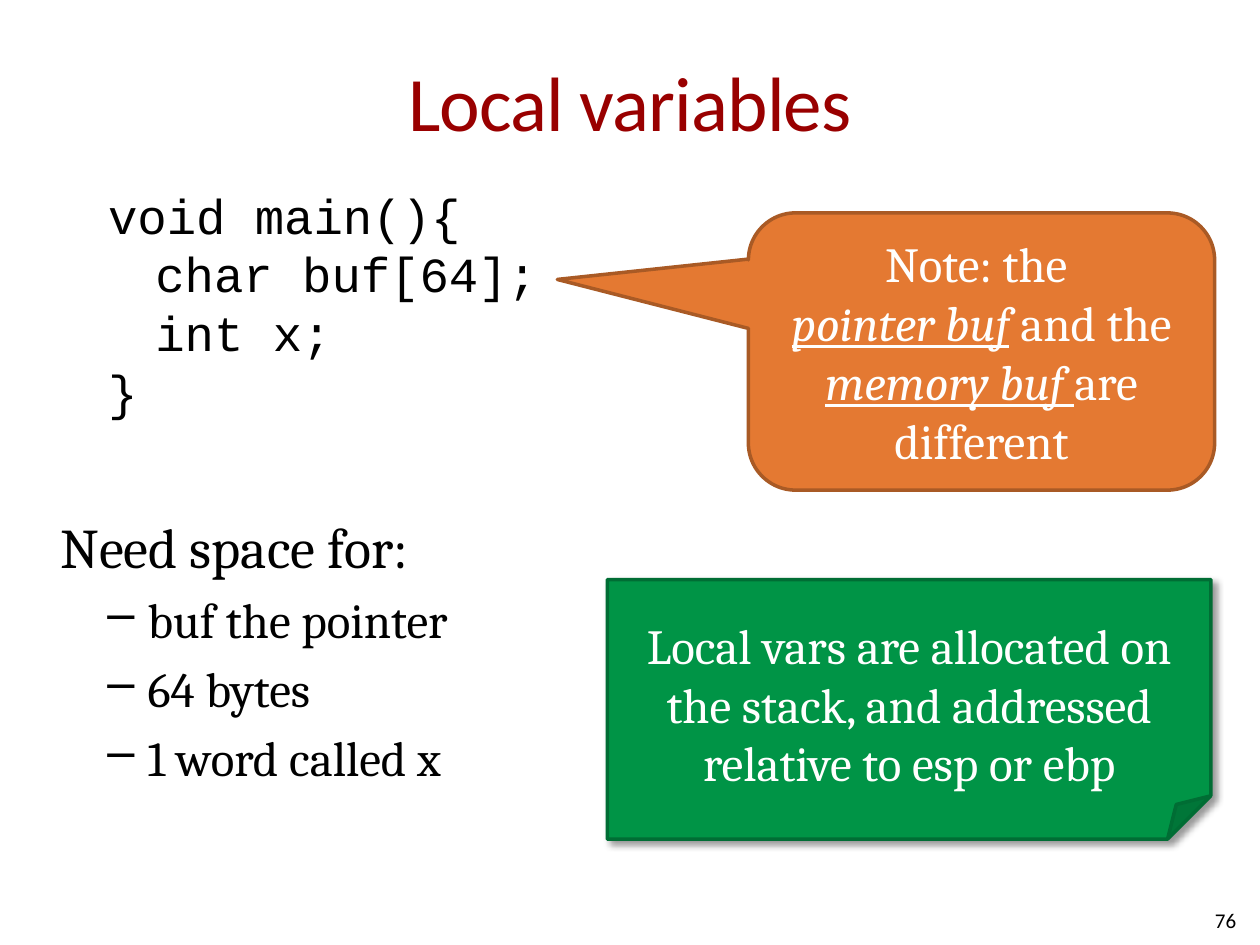
import pptx
import pptx.util
import pptx.dml.color
import pptx.enum.shapes
import pptx.enum.text
import pptx.oxml
import pptx.oxml.ns

Pt = pptx.util.Pt
RGBColor = pptx.dml.color.RGBColor
ALIGN = pptx.enum.text.PP_ALIGN
ANCHOR = pptx.enum.text.MSO_ANCHOR
SHAPE = pptx.enum.shapes.MSO_SHAPE

RED = RGBColor(0x99, 0x00, 0x00)
BLACK = RGBColor(0x00, 0x00, 0x00)
WHITE = RGBColor(0xFF, 0xFF, 0xFE)
ORANGE = RGBColor(0xE4, 0x79, 0x32)
BROWN = RGBColor(0xA9, 0x5A, 0x25)
GREEN = RGBColor(0x00, 0x94, 0x46)
DARK_GREEN = RGBColor(0x00, 0x6D, 0x34)

TITLE = "Local variables"
CODE = [("void main(){", 0), ("char buf[64];", 1), ("int x;", 1), ("}", 0)]
NEEDS_HEADING = "Need space for:"
NEEDS = ["buf the pointer", "64 bytes", "1 word called x"]
POINTER_NOTE = [
    ("Note: the \v", False),
    ("pointer buf", True),
    (" and the ", False),
    ("memory buf ", True),
    ("are different", False),
]
STACK_NOTE = "Local vars are allocated on the stack, and addressed relative to esp or ebp"
PAGE = "76"

CODE_INDENT = 27
NEED_INDENT, NEED_HANG = 50, -23
SPACE_SHARE = 0.2
SHADOW = (
    '<a:effectLst xmlns:a="http://schemas.openxmlformats.org/drawingml/2006/main">'
    '<a:outerShdw blurRad="50800" dist="38100" dir="2700000" algn="tl" rotWithShape="0">'
    '<a:srgbClr val="000000"><a:alpha val="40000"/></a:srgbClr>'
    '</a:outerShdw></a:effectLst>'
)


def style(paragraph, font, size, color, align=ALIGN.LEFT):
    paragraph.alignment = align
    for run in paragraph.runs:
        run.font.name = font
        run.font.size = Pt(size)
        run.font.color.rgb = color


def indent(paragraph, left, hang=0, bullet=None):
    properties = paragraph._p.get_or_add_pPr()
    properties.set("marL", str(Pt(left)))
    properties.set("indent", str(Pt(hang)))
    if bullet:
        mark = properties.makeelement(pptx.oxml.ns.qn("a:buChar"), {"char": bullet})
        properties.append(mark)


def add_box(slide, left, top, width, height, anchor=ANCHOR.TOP):
    frame = slide.shapes.add_textbox(Pt(left), Pt(top), Pt(width), Pt(height)).text_frame
    frame.word_wrap = True
    frame.vertical_anchor = anchor
    return frame


def add_note(slide, kind, left, top, width, height, fill, line):
    note = slide.shapes.add_shape(kind, Pt(left), Pt(top), Pt(width), Pt(height))
    note.shadow.inherit = False
    note.fill.solid()
    note.fill.fore_color.rgb = fill
    note.line.color.rgb = line
    note.line.width = Pt(2)
    note.text_frame.word_wrap = True
    note.text_frame.vertical_anchor = ANCHOR.MIDDLE
    return note


def next_paragraph(frame, index):
    return frame.add_paragraph() if index else frame.paragraphs[0]


def main():
    deck = pptx.Presentation()
    deck.slide_width, deck.slide_height = Pt(720), Pt(540)
    slide = deck.slides.add_slide(deck.slide_layouts[6])

    title = add_box(slide, 36, 12.24, 648, 90, ANCHOR.MIDDLE)
    title.margin_left = title.margin_right = 0
    title.text = TITLE
    style(title.paragraphs[0], "Calibri", 44, RED, ALIGN.CENTER)
    title.paragraphs[0].runs[0].font._element.set("spc", "-50")

    needs = add_box(slide, 27.36, 289.44, 388.8, 203.04)
    needs.text = NEEDS_HEADING
    style(needs.paragraphs[0], "Cambria", 32, BLACK)
    for need in NEEDS:
        paragraph = needs.add_paragraph()
        paragraph.text = need
        paragraph.level = 1
        paragraph.space_before = Pt(28 * SPACE_SHARE)
        indent(paragraph, NEED_INDENT, NEED_HANG, "–")
        style(paragraph, "Cambria", 28, BLACK)

    page = add_box(slide, 545.76, 511.2, 167.76, 28.8, ANCHOR.MIDDLE)
    page.text = PAGE
    style(page.paragraphs[0], "Calibri", 12, BLACK, ALIGN.RIGHT)

    code = add_box(slide, 54.72, 102.24, 272.16, 164.88)
    for index, (text, level) in enumerate(CODE):
        paragraph = next_paragraph(code, index)
        paragraph.text = text
        paragraph.level = level
        indent(paragraph, level * CODE_INDENT)
        style(paragraph, "Courier New", 28, BLACK)

    callout = add_note(slide, SHAPE.ROUNDED_RECTANGULAR_CALLOUT,
                       427.68, 121.68, 266.4, 158.4, ORANGE, BROWN)
    for index, value in enumerate((-0.91, -0.26, 0.17)):
        callout.adjustments[index] = value
    paragraph = callout.text_frame.paragraphs[0]
    for text, stressed in POINTER_NOTE:
        run = paragraph.add_run()
        run.text = text.rstrip("\v")
        run.font.italic = run.font.underline = stressed
        if text.endswith("\v"):
            paragraph.add_line_break()
    style(paragraph, "Cambria", 28, WHITE, ALIGN.CENTER)

    stack = add_note(slide, SHAPE.FOLDED_CORNER,
                     347.04, 331.2, 344.88, 148.32, GREEN, DARK_GREEN)
    properties = stack._element.spPr
    properties.replace(properties.find(pptx.oxml.ns.qn("a:effectLst")),
                       pptx.oxml.parse_xml(SHADOW))
    stack.text_frame.margin_top = Pt(21.6)
    stack.text_frame.text = STACK_NOTE
    style(stack.text_frame.paragraphs[0], "Cambria", 28, WHITE, ALIGN.CENTER)

    deck.save("out.pptx")


if __name__ == "__main__":
    main()
